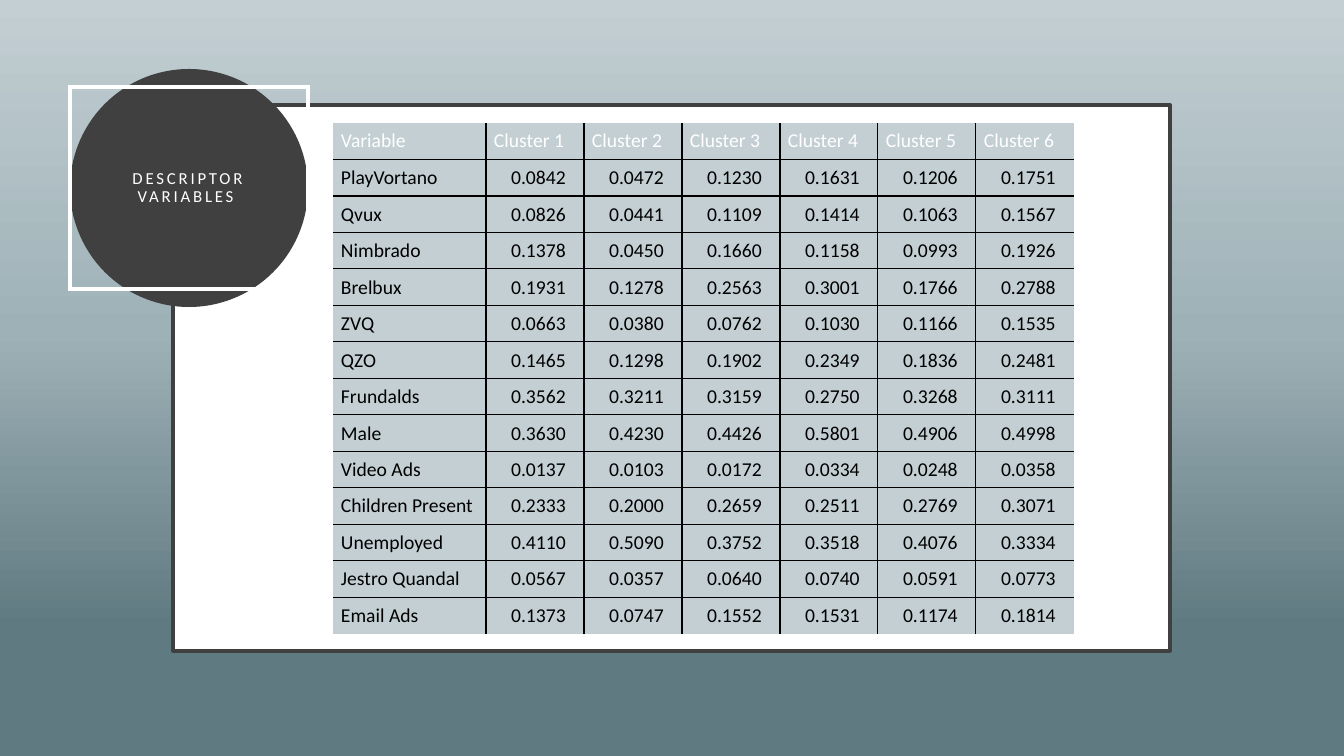
from copy import deepcopy

from lxml import etree
from pptx import Presentation
from pptx import util as u
from pptx.dml.color import RGBColor
from pptx.enum import shapes, text
from pptx.oxml.ns import qn

FONT = "Calibri"
WHITE, BLACK, CHARCOAL, MIST = "FFFFFF", "000000", "404040", "C3CFD3"
BACKDROP = [(0.17, "607A81"), (0.56, "9EB1B7"), (1, MIST)]
HEADINGS = ["Variable"] + [f"Cluster {number}" for number in range(1, 7)]
DESCRIPTORS = [
    ("PlayVortano", "0.0842 0.0472 0.1230 0.1631 0.1206 0.1751"),
    ("Qvux", "0.0826 0.0441 0.1109 0.1414 0.1063 0.1567"),
    ("Nimbrado", "0.1378 0.0450 0.1660 0.1158 0.0993 0.1926"),
    ("Brelbux", "0.1931 0.1278 0.2563 0.3001 0.1766 0.2788"),
    ("ZVQ", "0.0663 0.0380 0.0762 0.1030 0.1166 0.1535"),
    ("QZO", "0.1465 0.1298 0.1902 0.2349 0.1836 0.2481"),
    ("Frundalds", "0.3562 0.3211 0.3159 0.2750 0.3268 0.3111"),
    ("Male", "0.3630 0.4230 0.4426 0.5801 0.4906 0.4998"),
    ("Video Ads", "0.0137 0.0103 0.0172 0.0334 0.0248 0.0358"),
    ("Children Present", "0.2333 0.2000 0.2659 0.2511 0.2769 0.3071"),
    ("Unemployed", "0.4110 0.5090 0.3752 0.3518 0.4076 0.3334"),
    ("Jestro Quandal", "0.0567 0.0357 0.0640 0.0740 0.0591 0.0773"),
    ("Email Ads", "0.1373 0.0747 0.1552 0.1531 0.1174 0.1814"),
]


def px(length):
    """Turn pixels into EMU."""
    return u.Emu(round(length * 914400 / 100.8))


def colour(code):
    """Turn a hex string into a colour."""
    return RGBColor.from_string(code)


def paint_background(page):
    """Fill the page with the upward gradient."""
    fill = page.background.fill
    fill.gradient()
    fill.gradient_angle = 90
    stops = next(page._element.iter(qn("a:gsLst")))
    stops.append(deepcopy(stops[0]))
    for stop, (position, code) in zip(fill.gradient_stops, BACKDROP):
        stop.position = position
        stop.color.rgb = colour(code)


def add_box(page, kind, bounds, fill=None, line=None):
    """Add a preset shape with an optional fill and outline."""
    box = page.shapes.add_shape(kind, *map(px, bounds))
    box.shadow.inherit = False
    if fill:
        box.fill.solid()
        box.fill.fore_color.rgb = colour(fill)
    else:
        box.fill.background()
    if line:
        box.line.color.rgb = colour(line)
        box.line.width = u.Pt(2.5)
    else:
        box.line.fill.background()
    return box


def add_span(para, words, size, code):
    """Add one styled run of text."""
    span = para.add_run()
    span.text = words
    span.font.name = FONT
    span.font.size = u.Pt(size)
    span.font.color.rgb = colour(code)
    return span


def add_title(page, words):
    """Add the square-cornered frame with its letter-spaced title."""
    box = add_box(page, shapes.MSO_SHAPE.RECTANGLE, (70, 87, 238, 202), line=WHITE)
    outline = box._element.spPr.find(qn("a:ln"))
    etree.SubElement(outline, qn("a:miter"), lim="800000")
    frame = box.text_frame
    frame.word_wrap = True
    frame.vertical_anchor = text.MSO_ANCHOR.MIDDLE
    frame.margin_left = frame.margin_right = px(20)
    frame.margin_top = frame.margin_bottom = px(20)
    para = frame.paragraphs[0]
    para.alignment = text.PP_ALIGN.CENTER
    para.line_spacing = 0.9
    span = add_span(para, words, 12, WHITE)
    span.font._element.set("spc", "200")


def set_border(cell, side, visible):
    """Draw or hide one edge of a cell."""
    edge = etree.Element(qn(f"a:ln{side}"), w=str(u.Pt(1)))
    if visible:
        paint = etree.SubElement(edge, qn("a:solidFill"))
        etree.SubElement(paint, qn("a:srgbClr"), val=BLACK)
    else:
        etree.SubElement(edge, qn("a:noFill"))
    cell._tc.get_or_add_tcPr().append(edge)


def style_cell(cell, words, row, column):
    """Write one table cell with its margins, alignment and fill."""
    cell.margin_left, cell.margin_right = px(8), px(1)
    cell.margin_top = cell.margin_bottom = px(6)
    anchor = text.MSO_ANCHOR
    cell.vertical_anchor = anchor.BOTTOM if row else anchor.MIDDLE
    para = cell.text_frame.paragraphs[0]
    align = text.PP_ALIGN
    para.alignment = align.CENTER if row and column else align.LEFT
    add_span(para, words, 14, BLACK if row else WHITE)
    inner_edges = {"L": column > 0, "R": column < len(HEADINGS) - 1,
                   "T": row > 0, "B": row < len(DESCRIPTORS)}
    for side, visible in inner_edges.items():
        set_border(cell, side, visible)
    cell.fill.solid()
    cell.fill.fore_color.rgb = colour(MIST)


def add_cluster_table(page):
    """Add the table of descriptor values by cluster."""
    rows = [HEADINGS] + [[name, *values.split()] for name, values in DESCRIPTORS]
    bounds = map(px, (333, 123, 741, 511))
    table = page.shapes.add_table(len(rows), len(HEADINGS), *bounds).table
    table.first_row = table.horz_banding = False
    for index, column in enumerate(table.columns):
        column.width = px(98 if index else 153)
    for row_index, row in enumerate(rows):
        table.rows[row_index].height = px(511 / len(rows))
        for column_index, words in enumerate(row):
            cell = table.cell(row_index, column_index)
            style_cell(cell, words, row_index, column_index)


def main():
    """Build the slide and save it."""
    deck = Presentation()
    deck.slide_width, deck.slide_height = px(1344), px(756)
    page = deck.slides.add_slide(deck.slide_layouts[6])
    paint_background(page)
    add_box(page, shapes.MSO_SHAPE.RECTANGLE, (173, 105, 997, 546), WHITE, CHARCOAL)
    add_box(page, shapes.MSO_SHAPE.OVAL, (70, 69, 238, 238), CHARCOAL)
    add_title(page, "DESCRIPTOR VARIABLES ")
    add_cluster_table(page)
    deck.save("out.pptx")


if __name__ == "__main__":
    main()
